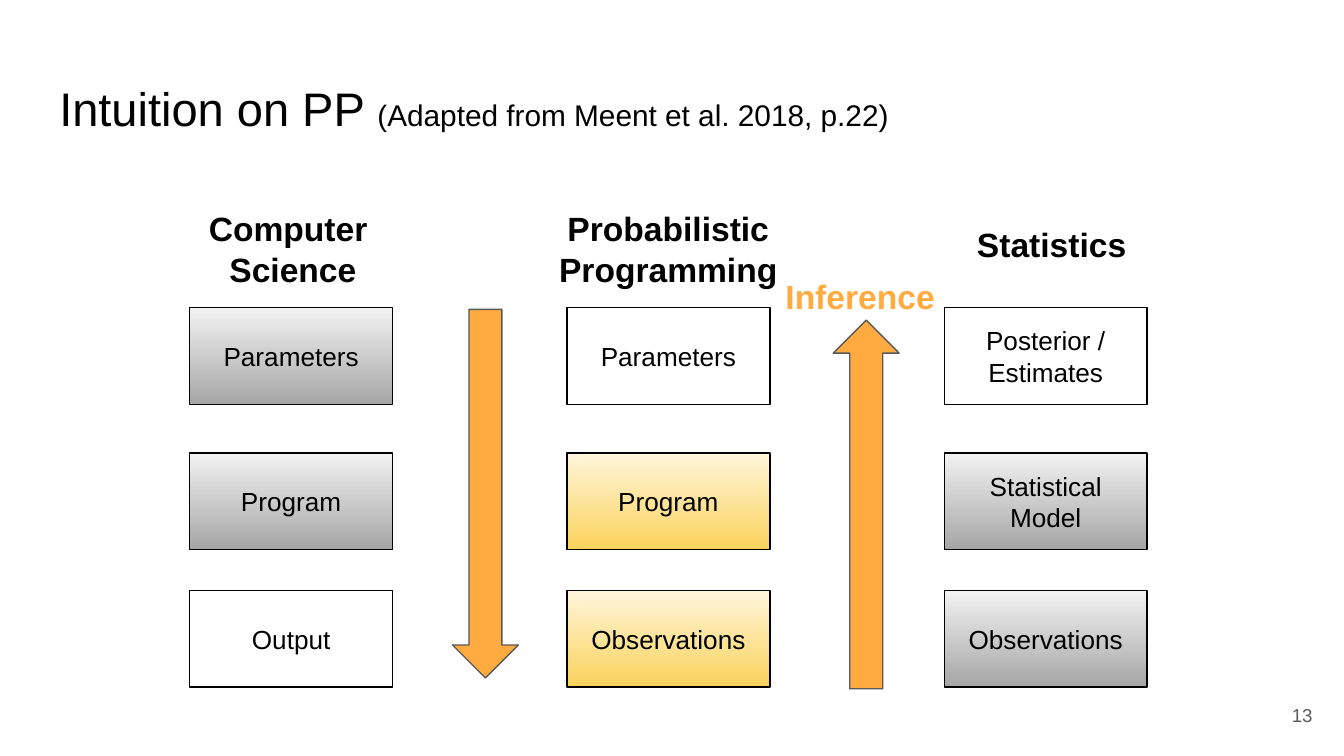
"""Build the slide that compares programs, probabilistic programs and statistics."""
from dataclasses import dataclass
from typing import Any, NamedTuple, Optional

from pptx import Presentation
from pptx.dml.color import RGBColor
from pptx.enum.shapes import MSO_SHAPE as Shape
from pptx.enum.text import MSO_ANCHOR as Anchor, MSO_AUTO_SIZE as AutoSize, PP_ALIGN as Align
from pptx.util import Inches, Pt

SLIDE_WIDTH = Inches(10)
SLIDE_HEIGHT = SLIDE_WIDTH * 9 // 16
BLACK, GREY, ORANGE = "000000", "595959", "FFAB40"
SILVER_FADE, GOLD_FADE = ("F2F2F2", "A6A6A6"), ("FFF6DB", "FAD25C")
COLUMN_LEFT, COLUMN_PITCH = 14.12, 28.07
ROW_TOPS = (40.71, 59.91, 78.1)
BOX_WIDTH, BOX_HEIGHT = 15.1, 12.8


class Area(NamedTuple):
    """A rectangle in percent of the slide's width and height."""
    left: float
    top: float
    width: float
    height: float

    def lengths(self) -> tuple[int, int, int, int]:
        """Return the rectangle in slide units."""
        across, down = SLIDE_WIDTH / 100, SLIDE_HEIGHT / 100
        return (round(self.left * across), round(self.top * down),
                round(self.width * across), round(self.height * down))


@dataclass(frozen=True)
class Step:
    """One box of the grid, shaded when it is given."""
    column: int
    row: int
    label: str
    fade: Optional[tuple[str, str]] = None


@dataclass(frozen=True)
class Caption:
    """A free text and its look."""
    text: str
    area: Area
    color: str = BLACK
    size: float = 18
    bold: bool = True
    align: Align = Align.CENTER
    anchor: Anchor = Anchor.TOP
    auto_size: AutoSize = AutoSize.SHAPE_TO_FIT_TEXT


@dataclass(frozen=True)
class Flow:
    """A block arrow between two columns."""
    area: Area
    rotation: float


TITLE_AREA = Area(3.41, 8.7, 93.2, 11.2)
TITLE_RUNS = (("Intuition on PP ", 25.2), ("(", 15.8),
              ("Adapted from Meent et al. 2018, p.22)", 16))
STEPS = (
    Step(0, 0, "Parameters", SILVER_FADE),
    Step(0, 1, "Program", SILVER_FADE),
    Step(0, 2, "Output"),
    Step(1, 0, "Parameters"),
    Step(1, 1, "Program", GOLD_FADE),
    Step(1, 2, "Observations", GOLD_FADE),
    Step(2, 0, "Posterior / Estimates"),
    Step(2, 1, "Statistical Model", SILVER_FADE),
    Step(2, 2, "Observations", SILVER_FADE),
)
HEADINGS = (
    Caption("Computer \nScience", Area(13.54, 25.75, 16.5, 14.4)),
    Caption("Probabilistic Programming", Area(40.58, 25.75, 18.3, 14.4)),
    Caption("Statistics", Area(67.3, 27.91, 21.9, 8.9)),
)
FLOWS = (
    Flow(Area(33.67, 40.93, 4.9, 48.75), 0),
    Flow(Area(62, 42.35, 4.9, 48.75), 180),
)
INFERENCE = Caption("Inference", Area(56, 34.7, 16, 8.9), ORANGE)
PAGE_NUMBER = Caption("13", Area(92.65, 90.7, 6, 7.65), GREY, 10, False,
                      Align.RIGHT, Anchor.MIDDLE, AutoSize.NONE)


def rgb(code: str) -> RGBColor:
    """Turn a hex string into a colour."""
    return RGBColor.from_string(code)


def apply(target: Any, formats: dict[str, Any]) -> None:
    """Set each format value on the target."""
    for name, value in formats.items():
        setattr(target, name, value)


def format_frame(frame: Any, anchor: Anchor, auto_size: AutoSize = AutoSize.NONE) -> None:
    """Set the wrapping, anchor and insets of a text frame."""
    insets = {f"margin_{side}": Inches(0.1) for side in ("left", "top", "right", "bottom")}
    apply(frame, {"word_wrap": True, "vertical_anchor": anchor, "auto_size": auto_size, **insets})


def format_font(font: Any, size: float, color: str = BLACK, bold: bool = False) -> None:
    """Set the typeface, size, weight and colour of a font."""
    apply(font, {"name": "Arial", "size": Pt(size), "bold": bold})
    font.color.rgb = rgb(color)


def write(frame: Any, text: str, size: float, color: str, bold: bool, align: Align) -> None:
    """Fill a text frame with paragraphs of one look."""
    frame.text = text
    for paragraph in frame.paragraphs:
        paragraph.alignment = align
        for run in paragraph.runs:
            format_font(run.font, size, color, bold)


def add_outlined(slide: Any, kind: Shape, area: Area, line: str) -> Any:
    """Add a flat preset shape with a thin outline."""
    shape = slide.shapes.add_shape(kind, *area.lengths())
    shape.shadow.inherit = False
    shape.line.color.rgb = rgb(line)
    shape.line.width = Pt(0.75)
    return shape


def add_title(slide: Any) -> None:
    """Place the title and write its runs."""
    title = slide.shapes.title
    apply(title, dict(zip(("left", "top", "width", "height"), TITLE_AREA.lengths())))
    format_frame(title.text_frame, Anchor.MIDDLE)
    paragraph = title.text_frame.paragraphs[0]
    paragraph.alignment = Align.LEFT
    for text, size in TITLE_RUNS:
        run = paragraph.add_run()
        run.text = text
        format_font(run.font, size)


def add_step(slide: Any, step: Step) -> None:
    """Draw one labelled box in its grid cell."""
    area = Area(COLUMN_LEFT + step.column * COLUMN_PITCH, ROW_TOPS[step.row],
                BOX_WIDTH, BOX_HEIGHT)
    box = add_outlined(slide, Shape.RECTANGLE, area, BLACK)
    if step.fade:
        box.fill.gradient()
        box.fill.gradient_angle = 270
        for stop, color in zip(box.fill.gradient_stops, step.fade):
            stop.color.rgb = rgb(color)
    else:
        box.fill.background()
    format_frame(box.text_frame, Anchor.MIDDLE)
    write(box.text_frame, step.label, 14, BLACK, False, Align.CENTER)


def add_caption(slide: Any, caption: Caption) -> None:
    """Draw one free text."""
    frame = slide.shapes.add_textbox(*caption.area.lengths()).text_frame
    format_frame(frame, caption.anchor, caption.auto_size)
    write(frame, caption.text, caption.size, caption.color, caption.bold, caption.align)


def add_flow(slide: Any, flow: Flow) -> None:
    """Draw one block arrow."""
    arrow = add_outlined(slide, Shape.DOWN_ARROW, flow.area, GREY)
    arrow.rotation = flow.rotation
    arrow.fill.solid()
    arrow.fill.fore_color.rgb = rgb(ORANGE)


def main() -> None:
    """Build and save the presentation."""
    deck = Presentation()
    apply(deck, {"slide_width": SLIDE_WIDTH, "slide_height": SLIDE_HEIGHT})
    slide = deck.slides.add_slide(deck.slide_layouts[5])
    add_title(slide)
    for step in STEPS:
        add_step(slide, step)
    for heading in HEADINGS:
        add_caption(slide, heading)
    for flow in FLOWS:
        add_flow(slide, flow)
    for caption in (INFERENCE, PAGE_NUMBER):
        add_caption(slide, caption)
    deck.save("out.pptx")


if __name__ == "__main__":
    main()
